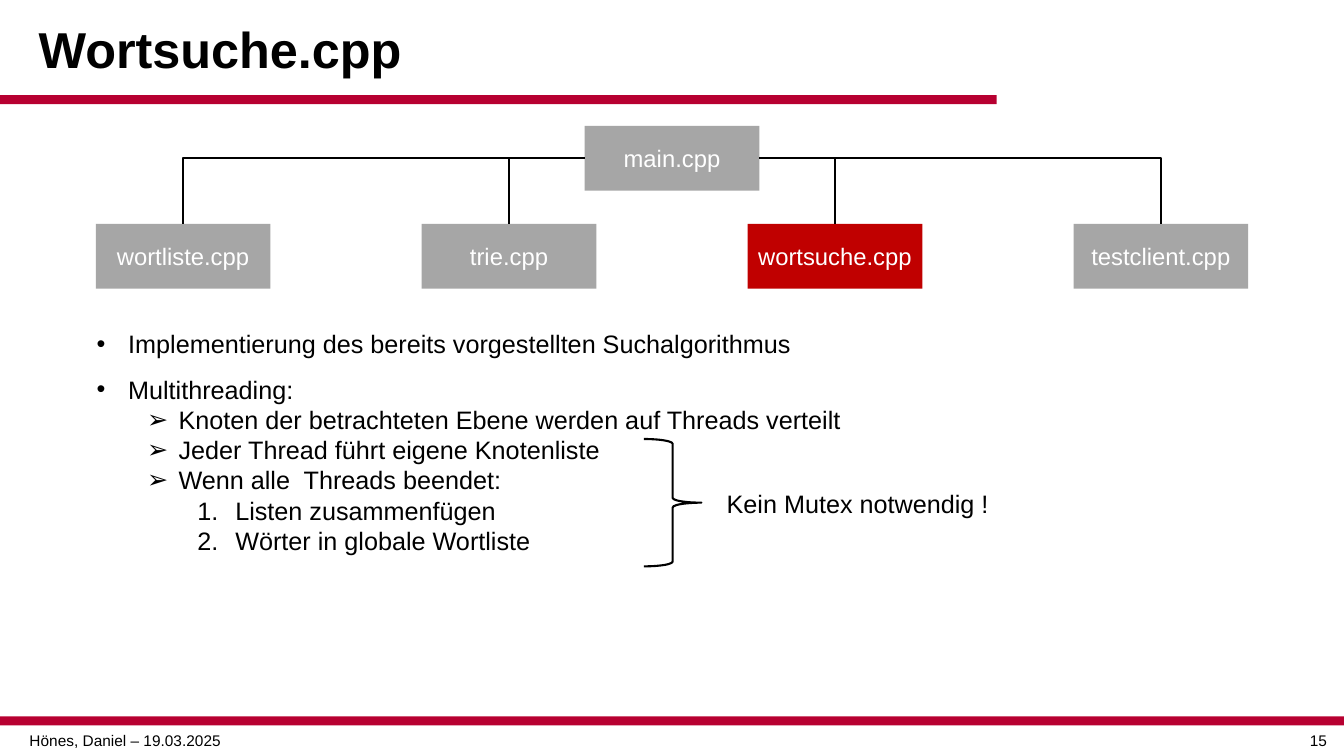
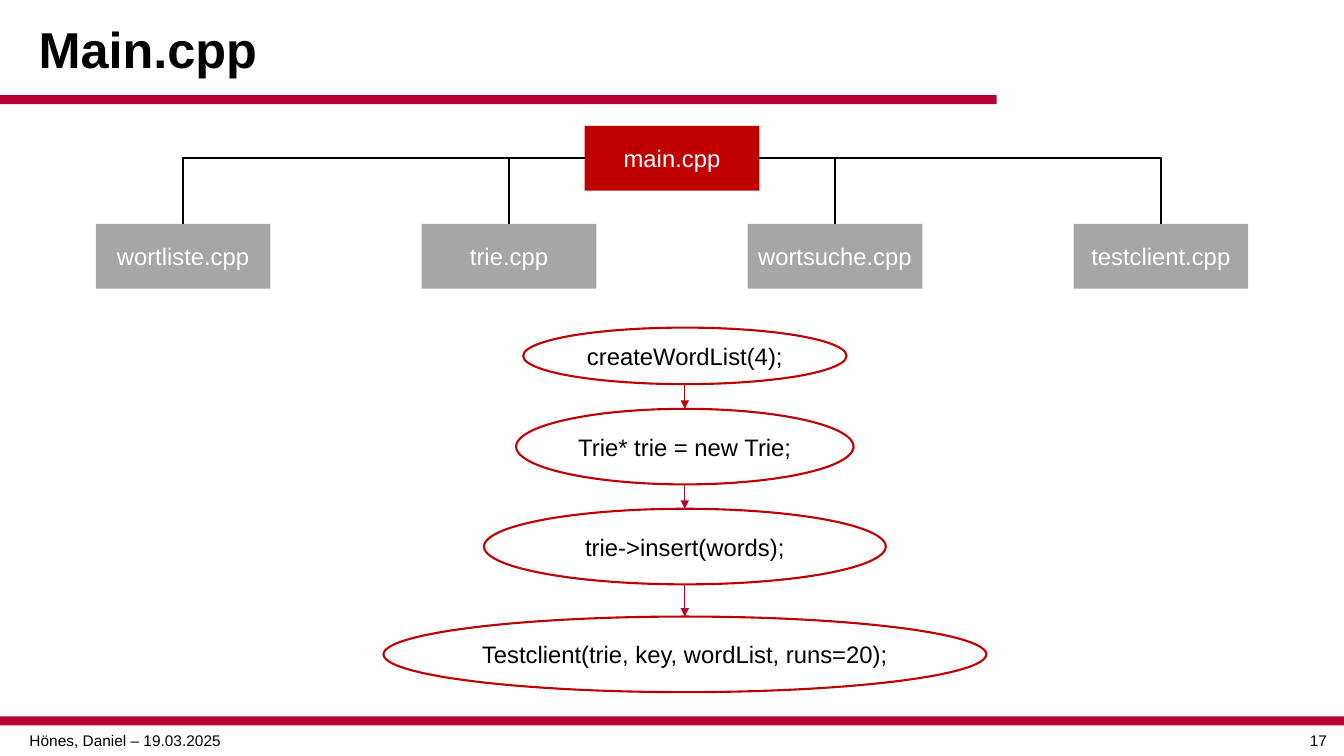
from dataclasses import dataclass
from lxml.etree import SubElement
from pptx import Presentation
from pptx.dml.color import RGBColor
from pptx.enum.shapes import MSO_CONNECTOR, MSO_SHAPE
from pptx.enum.text import MSO_ANCHOR, MSO_AUTO_SIZE, PP_ALIGN
from pptx.oxml.ns import qn
from pptx.util import Pt


@dataclass(frozen=True)
class Theme:
    font: str = "Arial"
    black: RGBColor = RGBColor(0x00, 0x00, 0x00)
    white: RGBColor = RGBColor(0xFF, 0xFF, 0xFF)
    band: RGBColor = RGBColor(0xB7, 0x00, 0x31)
    accent: RGBColor = RGBColor(0xC0, 0x00, 0x00)
    gray: RGBColor = RGBColor(0xA6, 0xA6, 0xA6)
    title: int = 36
    body: int = 18
    label: int = 17
    footer: int = 11


T = Theme()


def write(sp, lines, size, color=T.black, align=PP_ALIGN.LEFT, bold=False):
    tf = sp.text_frame
    tf.word_wrap = True
    tf.text = "\n".join(lines)
    for p in tf.paragraphs:
        p.alignment = align
        for r in p.runs:
            r.font.name = T.font
            r.font.size = Pt(size)
            r.font.bold = bold
            r.font.color.rgb = color
    return tf


def shape(s, kind, x, y, w, h, fill=None, line=None):
    sp = s.shapes.add_shape(kind, Pt(x), Pt(y), Pt(w), Pt(h))
    sp.shadow.inherit = False
    if fill is None:
        sp.fill.background()
    else:
        sp.fill.solid()
        sp.fill.fore_color.rgb = fill
    if line is None:
        sp.line.fill.background()
    else:
        sp.line.color.rgb = line
        sp.line.width = Pt(1.5)
    sp.text_frame.margin_left = sp.text_frame.margin_right = Pt(4)
    sp.text_frame.vertical_anchor = MSO_ANCHOR.MIDDLE
    return sp


prs = Presentation()
prs.slide_width, prs.slide_height = Pt(960), Pt(540)

box_w, box_h, box_gap = 124.8, 46.2, 232.8
modules = ["wortliste.cpp", "trie.cpp", "wortsuche.cpp", "testclient.cpp"]
slides = []

for title, number, active in [
    ("Wortsuche.cpp", "15", "wortsuche.cpp"),
    ("Main.cpp", "17", "main.cpp"),
]:
    s = prs.slides.add_slide(prs.slide_layouts[5])
    slides.append(s)

    head = s.shapes.title
    head.left, head.top, head.width, head.height = Pt(20.4), Pt(6.4), Pt(808), Pt(61.2)
    tf = write(head, [title], T.title, bold=True)
    tf.auto_size = MSO_AUTO_SIZE.NONE
    tf.vertical_anchor = MSO_ANCHOR.MIDDLE
    tf.paragraphs[0].line_spacing = 0.9

    for y, w in [(68, 712), (511.8, 960)]:
        shape(s, MSO_SHAPE.RECTANGLE, 0, y, w, 6.4, fill=T.band)

    for x, w, text in [(0, 179, "Hönes, Daniel – 19.03.2025"), (923.6, 36.4, number)]:
        tb = s.shapes.add_textbox(Pt(x), Pt(518.4), Pt(w), Pt(20.6))
        write(tb, [text], T.footer, align=PP_ALIGN.CENTER)

    boxes = []
    centers = [(480, 90)] + [(480 + (i - 1.5) * box_gap, 160) for i in range(4)]
    for (x, y), name in zip(centers, ["main.cpp"] + modules):
        fill = T.accent if name == active else T.gray
        sp = shape(s, MSO_SHAPE.RECTANGLE, x - box_w / 2, y, box_w, box_h, fill=fill)
        write(sp, [name], T.label, T.white, PP_ALIGN.CENTER)
        boxes.append(sp)

    main_box, *module_boxes = boxes
    for i, sp in enumerate(module_boxes):
        c = s.shapes.add_connector(MSO_CONNECTOR.ELBOW, 0, 0, 0, 0)
        c.begin_connect(main_box, 1 if i < 2 else 3)
        c.end_connect(sp, 0)
        c.line.color.rgb = T.black
        c.line.width = Pt(1.5)
        c._element.spPr.find(qn("a:prstGeom")).set("prst", "bentConnector2")
        SubElement(c._element.spPr, qn("a:effectLst"))

search, program = slides

bullets = [
    (0, "Implementierung des bereits vorgestellten Suchalgorithmus"),
    (0, "Multithreading:"),
    (1, "Knoten der betrachteten Ebene werden auf Threads verteilt"),
    (1, "Jeder Thread führt eigene Knotenliste"),
    (1, "Wenn alle  Threads beendet:"),
    (2, "Listen zusammenfügen"),
    (2, "Wörter in globale Wortliste"),
]
levels = [
    (22.5, 22.5, 1.5, "buChar", {"char": "•"}),
    (58.5, 22.5, 1.0, "buChar", {"char": "➢"}),
    (99, 27, 1.0, "buAutoNum", {"type": "arabicPeriod"}),
]
tb = search.shapes.add_textbox(Pt(62), Pt(220.4), Pt(831), Pt(181.4))
tf = write(tb, [text for _, text in bullets], T.body)
for p, (level, _) in zip(tf.paragraphs, bullets):
    margin, hang, spacing, tag, attrs = levels[level]
    p.level = level
    p.line_spacing = spacing
    pPr = p._p.get_or_add_pPr()
    pPr.set("marL", str(Pt(margin)))
    pPr.set("indent", str(-Pt(hang)))
    SubElement(pPr, qn("a:buFont"), typeface=T.font)
    SubElement(pPr, qn(f"a:{tag}"), attrs)

shape(search, MSO_SHAPE.RIGHT_BRACE, 460, 313.6, 41, 91, line=T.black)
tb = search.shapes.add_textbox(Pt(512), Pt(345), Pt(205), Pt(29))
write(tb, ["Kein Mutex notwendig !"], T.body)

steps = [
    (234, 231, 40.4, "createWordList(4);"),
    (292, 241, 54, "Trie* trie = new Trie;"),
    (363.4, 287, 54, "trie->insert(words);"),
    (440.4, 430.6, 54, "Testclient(trie, key, wordList, runs=20);"),
]
step_x = 489.2
for y, w, h, text in steps:
    sp = shape(program, MSO_SHAPE.OVAL, step_x - w / 2, y, w, h, line=T.accent)
    write(sp, [text], T.label, align=PP_ALIGN.CENTER)

for (y, _, h, _), following, color in zip(steps, steps[1:], [T.accent, T.band, T.band]):
    c = program.shapes.add_connector(
        MSO_CONNECTOR.STRAIGHT, Pt(step_x), Pt(y + h), Pt(step_x), Pt(following[0])
    )
    c.line.color.rgb = color
    c.line.width = Pt(0.5)
    SubElement(c.line._get_or_add_ln(), qn("a:tailEnd"), type="triangle")
    SubElement(c._element.spPr, qn("a:effectLst"))

prs.save("out.pptx")
